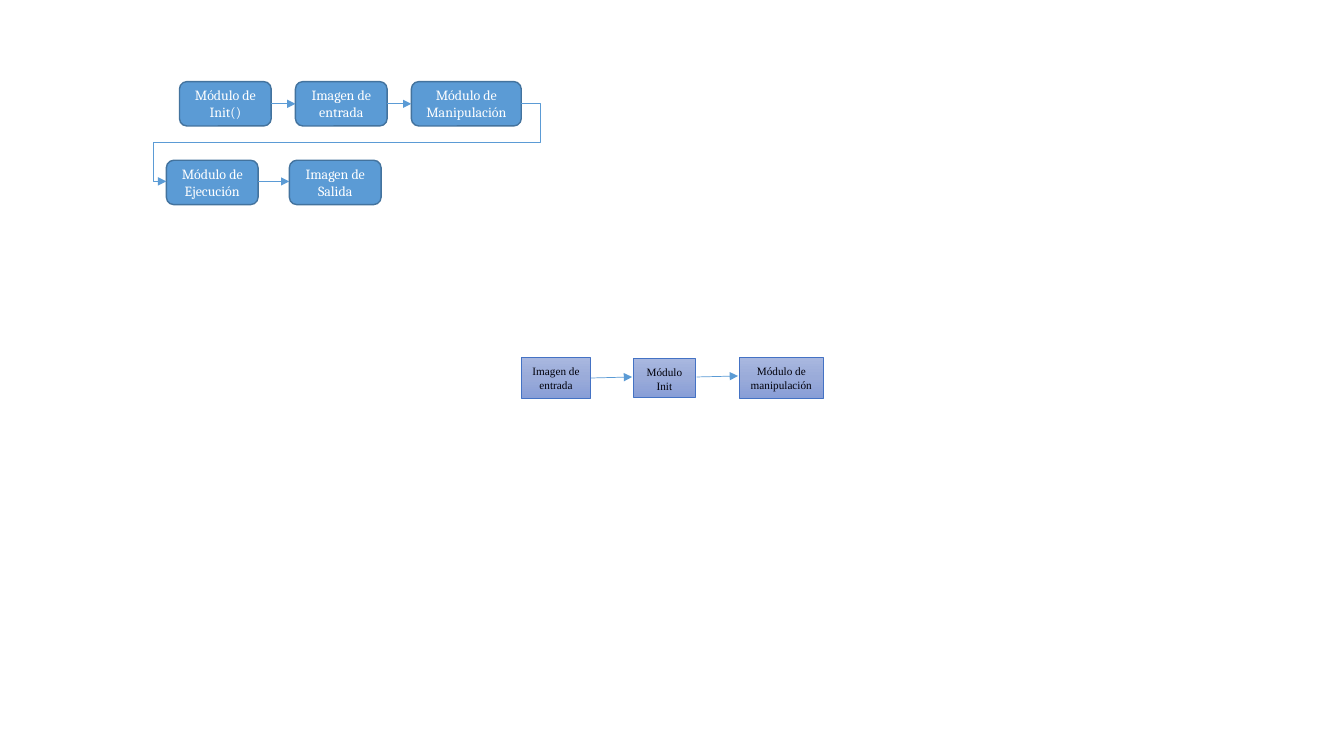
"""Build a slide with two module flow diagrams joined by arrows."""
from copy import deepcopy

from pptx import Presentation
from pptx.dml.color import RGBColor
from pptx.enum.shapes import MSO_CONNECTOR, MSO_SHAPE
from pptx.enum.text import MSO_ANCHOR, PP_ALIGN
from pptx.oxml.ns import qn
from pptx.util import Inches, Pt
from lxml import etree

RECTANGLE, ROUNDED = MSO_SHAPE.RECTANGLE, MSO_SHAPE.ROUNDED_RECTANGLE
STRAIGHT, ELBOW = MSO_CONNECTOR.STRAIGHT, MSO_CONNECTOR.ELBOW
TOP, MIDDLE, CENTER = MSO_ANCHOR.TOP, MSO_ANCHOR.MIDDLE, PP_ALIGN.CENTER

THEME = {
    "arrow": "5B9BD5",
    "arrow_width": 0.5,
    "gradient": [(0, "A8B7DF"), (0.5, "9AABD9"), (1, "889ED7")],
    "plain": {"shape": RECTANGLE, "line": "4472C4", "width": 0.5, "font": "Times New Roman",
              "size": 8, "text": "00000A", "anchor": TOP, "spacing": 1.08},
    "rounded": {"shape": ROUNDED, "line": "43739E", "width": 1, "font": "Cambria",
                "size": 10, "text": "FFFFFF", "anchor": MIDDLE, "spacing": 1.0,
                "fill": "5B9BD5"},
}


def add_module(slide, style, text, left, top, width, height):
    module = slide.shapes.add_shape(
        style["shape"], Inches(left), Inches(top), Inches(width), Inches(height))
    module.shadow.inherit = False
    module.line.color.rgb = RGBColor.from_string(style["line"])
    module.line.width = Pt(style["width"])
    if "fill" in style:
        module.fill.solid()
        module.fill.fore_color.rgb = RGBColor.from_string(style["fill"])
    else:
        module.fill.gradient()
        module.fill.gradient_angle = 270
        stop_list = module._element.spPr.find(".//" + qn("a:gsLst"))
        stop_list.insert(1, deepcopy(stop_list[0]))
        for stop, (position, color) in zip(module.fill.gradient_stops, THEME["gradient"]):
            stop.position = position
            stop.color.rgb = RGBColor.from_string(color)
    text_frame = module.text_frame
    text_frame.text = text
    text_frame.word_wrap = True
    text_frame.vertical_anchor = style["anchor"]
    paragraph = text_frame.paragraphs[0]
    paragraph.alignment = CENTER
    paragraph.line_spacing = style["spacing"]
    font = paragraph.runs[0].font
    font.name = style["font"]
    font.size = Pt(style["size"])
    font.color.rgb = RGBColor.from_string(style["text"])


def add_arrow(slide, kind, start_x, start_y, end_x, end_y):
    arrow = slide.shapes.add_connector(
        kind, Inches(start_x), Inches(start_y), Inches(end_x), Inches(end_y))
    arrow.line.color.rgb = RGBColor.from_string(THEME["arrow"])
    arrow.line.width = Pt(THEME["arrow_width"])
    properties = arrow._element.spPr
    etree.SubElement(properties.find(qn("a:ln")), qn("a:tailEnd"), type="triangle")
    etree.SubElement(properties, qn("a:effectLst"))
    return arrow


presentation = Presentation()
presentation.slide_width = Inches(13.33)
presentation.slide_height = Inches(7.5)
slide = presentation.slides.add_slide(presentation.slide_layouts[6])

plain_modules = [
    ("Imagen de entrada", 5.17, 3.55, 0.69, 0.4),
    ("Módulo Init", 6.28, 3.56, 0.62, 0.38),
    ("Módulo de manipulación", 7.33, 3.55, 0.84, 0.4),
]
for module in plain_modules:
    add_module(slide, THEME["plain"], *module)

first_row, second_row, row_height = 0.81, 1.59, 0.44
rounded_modules = [
    ("Módulo de Init()", 1.78, first_row, 0.91),
    ("Imagen de entrada", 2.93, first_row, 0.91),
    ("Módulo de Manipulación", 4.08, first_row, 1.09),
    ("Módulo de Ejecución", 1.65, second_row, 0.91),
    ("Imagen de Salida", 2.87, second_row, 0.91),
]
for module in rounded_modules:
    add_module(slide, THEME["rounded"], *module, row_height)

straight_arrows = [
    (5.86, 3.75, 6.27, 3.74),
    (6.91, 3.74, 7.32, 3.73),
    (2.69, 1.03, 2.93, 1.03),
    (3.84, 1.03, 4.08, 1.03),
    (2.56, 1.8, 2.87, 1.8),
]
for ends in straight_arrows:
    add_arrow(slide, STRAIGHT, *ends)

row_link = add_arrow(slide, ELBOW, 5.17, 1.03, 1.65, 1.8)
geometry = row_link._element.spPr.find(qn("a:prstGeom"))
geometry.set("prst", "bentConnector5")
adjustments = geometry.find(qn("a:avLst"))
for number, value in enumerate((-5300, 50000, 103800), start=1):
    etree.SubElement(adjustments, qn("a:gd"), name=f"adj{number}", fmla=f"val {value}")

presentation.save("out.pptx")
